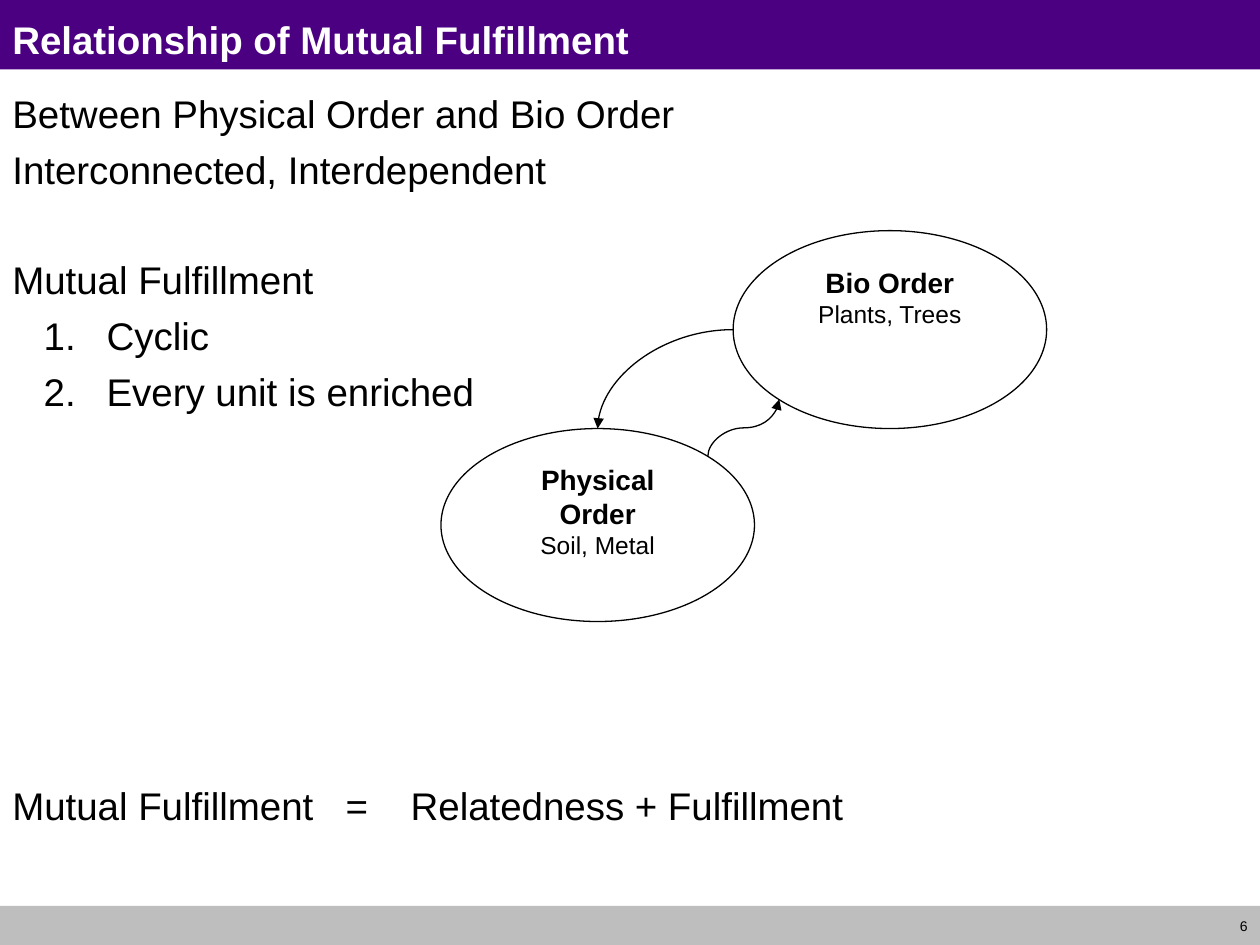
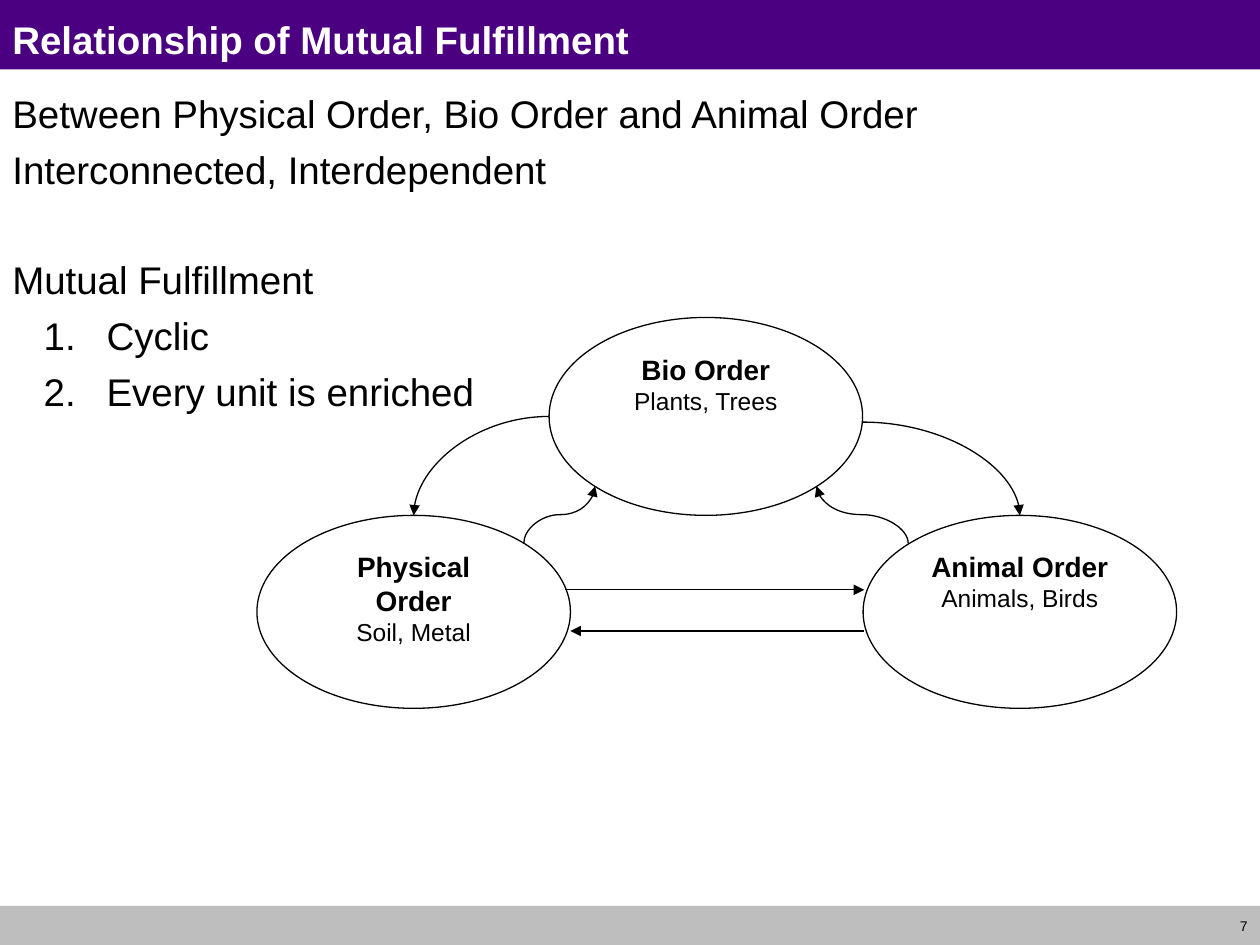
from lxml.etree import SubElement as Sub
from pptx import Presentation
from pptx.dml.color import RGBColor as Rgb
from pptx.enum.shapes import MSO_CONNECTOR as Link, MSO_SHAPE as Form
from pptx.enum.text import MSO_ANCHOR as Anchor, PP_ALIGN as Align
from pptx.oxml.ns import qn
from pptx.util import Cm, Pt

HUES = {"band": "4B0082", "foot": "BEBEBE", "ink": "000000", "paper": "FFFFFF"}
WIDE, HIGH = 25.4, 19.05
PAD = 0.25
ORB_W, BIO_H, LOW_H = 6.32, 3.99, 3.89
BIO_X, PET_X = 5.89, 12.22


def hue(name):
    """Return the named colour."""
    return Rgb.from_string(HUES[name])


def write(frame, text, size=22, bold=False, ink="ink", align=Align.LEFT,
          gap=0, num=False, tabs=(), first=False):
    """Write one formatted paragraph into a text frame."""
    para = frame.paragraphs[0] if first else frame.add_paragraph()
    para.alignment = align
    para.space_before = Pt(gap)
    run = para.add_run()
    run.text = text
    font = run.font
    font.name, font.size, font.bold = "Arial", Pt(size), bold
    font.color.rgb = hue(ink)
    props = para._p.get_or_add_pPr()
    if num:
        props.set("marL", str(Cm(1.9)))
        props.set("indent", str(-Cm(1.27)))
        Sub(props, qn("a:buFont"), typeface="+mj-lt")
        Sub(props, qn("a:buAutoNum"), type="arabicPeriod")
    if tabs:
        stops = Sub(props, qn("a:tabLst"))
        for pos in tabs:
            Sub(stops, qn("a:tab"), pos=str(Cm(pos)), algn="l")


def panel(slide, x, y, w, h, anchor=Anchor.TOP):
    """Add a wrapped text box and return its frame."""
    frame = slide.shapes.add_textbox(Cm(x), Cm(y), Cm(w), Cm(h)).text_frame
    frame.word_wrap = True
    frame.vertical_anchor = anchor
    return frame


def solid(slide, form, x, y, w, h, fill, line=None):
    """Add a filled preset shape, outlined if a line colour is given."""
    shape = slide.shapes.add_shape(form, Cm(x), Cm(y), Cm(w), Cm(h))
    shape.shadow.inherit = False
    shape.fill.solid()
    shape.fill.fore_color.rgb = hue(fill)
    if line:
        shape.line.color.rgb = hue(line)
        shape.line.width = Pt(0.75)
    else:
        shape.line.fill.background()
    return shape


def orb(slide, x, y, h, name, parts):
    """Draw one order as an ellipse with its name and its members."""
    frame = solid(slide, Form.OVAL, x, y, ORB_W, h, "paper", "ink").text_frame
    frame.word_wrap = True
    frame.vertical_anchor = Anchor.TOP
    frame.margin_left = frame.margin_right = Cm(0.38)
    write(frame, name, size=16, bold=True, align=Align.CENTER, first=True)
    write(frame, parts, size=14, align=Align.CENTER)


def arrow(slide, start, end, kind=Link.STRAIGHT):
    """Draw a thin line with an arrowhead at its end."""
    line = slide.shapes.add_connector(kind, *map(Cm, start + end))
    line.line.color.rgb = hue("ink")
    line.line.width = Pt(0.75)
    Sub(line.line._get_or_add_ln(), qn("a:tailEnd"), type="triangle")
    props = line._element.spPr
    Sub(props, qn("a:effectLst"))
    return props


def arc(slide, start, end):
    """Draw a quarter bend that leaves sideways and lands downward."""
    props = arrow(slide, start, end, Link.CURVE)
    props.find(qn("a:prstGeom")).set("prst", "curvedConnector2")


def wave(slide, start, end):
    """Draw an S bend that leaves and lands upward."""
    (x1, y1), (x2, y2) = start, end
    mid_x, mid_y = (x1 + x2) / 2, (y1 + y2) / 2
    side = 1 if x2 > x1 else -1
    run, rise = side * (y1 - y2) / 2, abs(x2 - x1) / 2
    props = arrow(slide, (mid_x - run, mid_y - rise),
                  (mid_x + run, mid_y + rise), Link.CURVE)
    turn = 270 if side > 0 else 90
    props.find(qn("a:xfrm")).set("rot", str(turn * 60000))


def cycle(slide, x, y, pet=False):
    """Draw the linked orders from a top left corner, with animals if asked."""
    def at(dx, dy):
        """Shift a point into the diagram."""
        return x + dx, y + dy

    if pet:
        orb(slide, *at(PET_X, BIO_H), LOW_H, "Animal Order", "Animals, Birds")
    orb(slide, *at(0, BIO_H), LOW_H, "Physical Order", "Soil, Metal")
    orb(slide, *at(BIO_X, 0), BIO_H, "Bio Order", "Plants, Trees")
    arc(slide, at(BIO_X, BIO_H / 2), at(ORB_W / 2, BIO_H))
    wave(slide, at(5.38, 4.55), at(6.82, 3.4))
    if pet:
        arc(slide, at(BIO_X + ORB_W, 2.11), at(PET_X + ORB_W / 2, BIO_H))
        wave(slide, at(13.13, 4.55), at(11.28, 3.4))
        arrow(slide, at(6.22, 5.49), at(12.24, 5.49))
        arrow(slide, at(12.24, 6.32), at(ORB_W, 6.32))


def base(deck, page):
    """Add a slide with its title band and its numbered footer."""
    slide = deck.slides.add_slide(deck.slide_layouts[6])
    solid(slide, Form.RECTANGLE, 0, 0, WIDE, 1.4, "band")
    solid(slide, Form.RECTANGLE, 0, 18.26, WIDE, HIGH - 18.26, "foot")
    write(panel(slide, WIDE - 1.2, 18.26, 1.2, 0.81, Anchor.MIDDLE),
          str(page), size=8, align=Align.RIGHT, first=True)
    write(panel(slide, 0, 0.2, WIDE, 1.07),
          "Relationship of Mutual Fulfillment", bold=True, ink="paper", first=True)
    return slide


def body(slide, x, y, w, h, topic, sum_up=None):
    """Write the topic, the two rules and an optional closing equation."""
    frame = panel(slide, x, y, w, h)
    write(frame, topic, gap=5.5, first=True)
    write(frame, "Interconnected, Interdependent", gap=5.5)
    write(frame, "Mutual Fulfillment", gap=36.5)
    for rule in ("Cyclic", "Every unit is enriched"):
        write(frame, rule, gap=5.5, num=True)
    if sum_up:
        write(frame, sum_up, gap=210, tabs=(6.72, 8.03))


def main():
    """Build both slides and save the deck."""
    deck = Presentation()
    deck.slide_width, deck.slide_height = Cm(WIDE), Cm(HIGH)
    area = (0, 1.7, WIDE, 16.5)

    two = base(deck, 6)
    body(two, *area, "Between Physical Order and Bio Order",
         "Mutual Fulfillment\t=\tRelatedness + Fulfillment")
    cycle(two, 8.89, 4.65)

    three = base(deck, 7)
    body(three, *area, "Between Physical Order, Bio Order and Animal Order")
    cycle(three, 5.18, 6.4, pet=True)

    deck.save("out.pptx")


if __name__ == "__main__":
    main()
